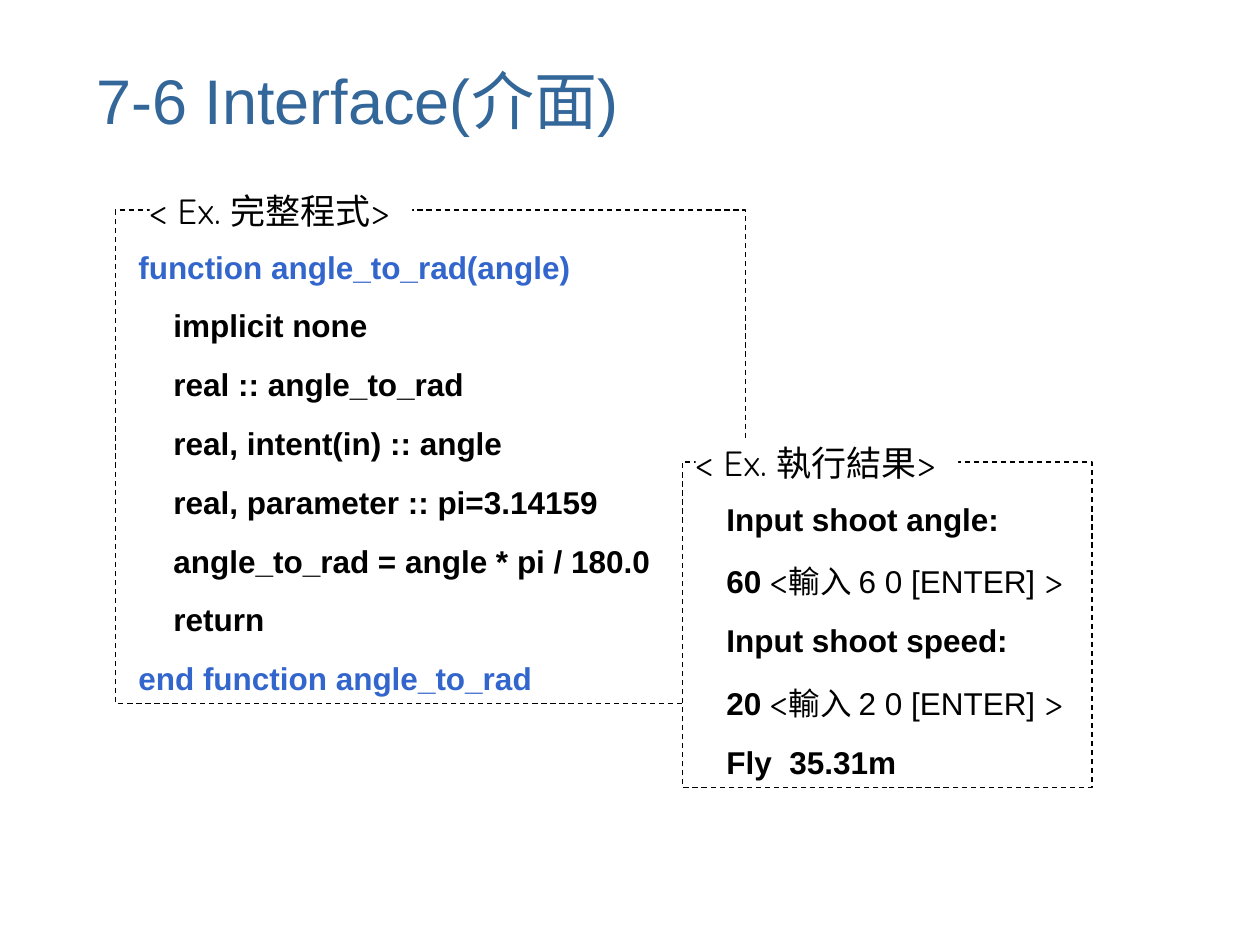
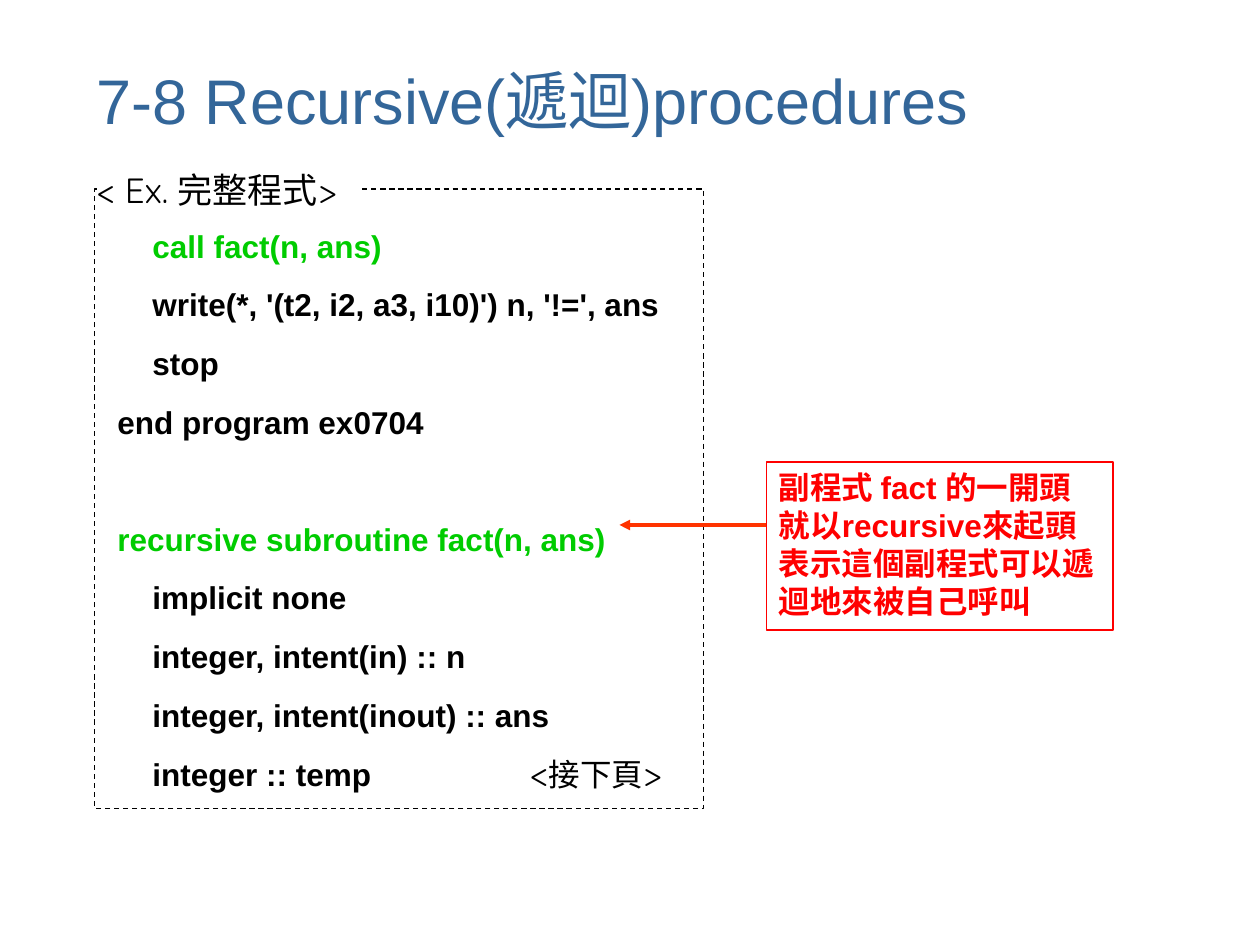
from dataclasses import dataclass

import pptx
import pptx.dml.color
import pptx.enum.dml
import pptx.enum.shapes
import pptx.enum.text
import pptx.oxml
import pptx.oxml.ns
import pptx.util

SLIDE_WIDTH, SLIDE_HEIGHT = pptx.util.Inches(10), pptx.util.Inches(7.5)
COLUMNS, ROWS = 120, 90

WHITE, BLACK, RED = "FFFFFF", "000000", "FF0000"
TITLE_BLUE, CODE_BLUE, CODE_GREEN, ARROW_RED = "336699", "3366CC", "00CC00", "FF3300"
TEXT_FONT, LABEL_FONT = "Arial", "Quicksand"
LINE_GAP = 12
SECTION_GAP = 45
CODE_INDENT = pptx.util.Pt(20)
TEXT_MARGINS = (0.1, 0.05)


@dataclass(frozen=True)
class Span:
    text: str
    size: float = 18
    font: str = TEXT_FONT
    color: str = BLACK
    bold: bool = False


@dataclass(frozen=True)
class Line:
    spans: tuple[Span, ...]
    level: int = 0
    gap: float = LINE_GAP


@dataclass(frozen=True)
class Area:
    """A rectangle measured in grid columns and rows."""
    column: float
    row: float
    columns: float
    rows: float

    def lengths(self) -> tuple[int, int, int, int]:
        return (across(self.column), down(self.row), across(self.columns), down(self.rows))


@dataclass(frozen=True)
class Panel:
    """A dashed frame with a label set into its top edge."""
    area: Area
    label: str
    label_inset: float
    text_inset: float
    lines: tuple[Line, ...]


def across(columns: float) -> int:
    return round(SLIDE_WIDTH * columns / COLUMNS)


def down(rows: float) -> int:
    return round(SLIDE_HEIGHT * rows / ROWS)


def rgb(value: str) -> pptx.dml.color.RGBColor:
    return pptx.dml.color.RGBColor.from_string(value)


def code(text: str, level: int = 0, color: str = BLACK, gap: float = LINE_GAP) -> Line:
    return Line((Span(text, color=color, bold=True),), level, gap)


def bracketed(text: str) -> tuple[Span, ...]:
    return (Span("<", 20, LABEL_FONT), Span(text), Span(">", 20, LABEL_FONT))


def typed_answer(value: str, hint: str) -> Line:
    return Line((Span(f"{value} ", bold=True), *bracketed(hint)))


def write(box, lines: tuple[Line, ...], *, margins: tuple[float, float] = TEXT_MARGINS,
          wrap: bool = True, middle: bool = False) -> None:
    frame = box.text_frame
    frame.word_wrap = wrap
    anchors = pptx.enum.text.MSO_ANCHOR
    frame.vertical_anchor = anchors.MIDDLE if middle else anchors.TOP
    frame.margin_left = frame.margin_right = pptx.util.Inches(margins[0])
    frame.margin_top = frame.margin_bottom = pptx.util.Inches(margins[1])
    for number, line in enumerate(lines):
        para = frame.add_paragraph() if number else frame.paragraphs[0]
        para.alignment = pptx.enum.text.PP_ALIGN.LEFT
        para.space_before = pptx.util.Pt(line.gap if number else 0)
        properties = para._p.get_or_add_pPr()
        properties.set("marL", str(line.level * CODE_INDENT))
        properties.set("indent", "0")
        for span in line.spans:
            run = para.add_run()
            run.text = span.text
            run.font.size = pptx.util.Pt(span.size)
            run.font.name = span.font
            run.font.bold = span.bold
            run.font.color.rgb = rgb(span.color)


def add_text(page, area: Area, *lines: Line, **options) -> None:
    write(page.shapes.add_textbox(*area.lengths()), lines, **options)


def add_box(page, area: Area, outline: str | None = None, dashed: bool = False):
    box = page.shapes.add_shape(pptx.enum.shapes.MSO_SHAPE.RECTANGLE, *area.lengths())
    box.shadow.inherit = False
    box.fill.solid()
    box.fill.fore_color.rgb = rgb(WHITE)
    if outline is None:
        box.line.fill.background()
        return box
    box.line.color.rgb = rgb(outline)
    box.line.width = pptx.util.Pt(0.75)
    if dashed:
        box.line.dash_style = pptx.enum.dml.MSO_LINE.DASH
    return box


def add_panel(page, panel: Panel) -> None:
    area = panel.area
    add_box(page, area, BLACK, dashed=True)
    label = add_box(page, Area(area.column + panel.label_inset, area.row - 2, 25, 4))
    write(label, (Line((Span(panel.label, 20, LABEL_FONT),)),), margins=(0, 0), wrap=False)
    text_area = Area(area.column + panel.text_inset, area.row + 3, area.columns, area.rows - 4)
    add_text(page, text_area, *panel.lines)


def add_arrow(page, row: float, start: float, end: float) -> None:
    arrow = page.shapes.add_connector(pptx.enum.shapes.MSO_CONNECTOR.STRAIGHT,
                                      across(start), down(row), across(end), down(row))
    arrow.line.color.rgb = rgb(ARROW_RED)
    arrow.line.width = pptx.util.Pt(2)
    head = pptx.oxml.ns.qn("a:tailEnd")
    arrow.line._get_or_add_ln().makeelement(head)
    pptx.oxml.xmlchemy.OxmlElement("a:tailEnd")
    tail = pptx.oxml.xmlchemy.OxmlElement("a:tailEnd")
    tail.set("type", "triangle")
    arrow.line._get_or_add_ln().append(tail)
    arrow._element.spPr.append(pptx.oxml.xmlchemy.OxmlElement("a:effectLst"))


def add_page(deck, title: str, *panels: Panel):
    page = deck.slides.add_slide(deck.slide_layouts[6])
    add_text(page, Area(8, 3, 102, 13), Line((Span(title, 36, color=TITLE_BLUE),)), middle=True)
    for panel in panels:
        add_panel(page, panel)
    return page


ANGLE_FUNCTION = Panel(Area(11, 20, 60, 47), "< Ex. 完整程式>", 3.25, 1, (
    code("function angle_to_rad(angle)", color=CODE_BLUE),
    code("implicit none", 1),
    code("real :: angle_to_rad", 1),
    code("real, intent(in) :: angle", 1),
    code("real, parameter :: pi=3.14159", 1),
    code("angle_to_rad = angle * pi / 180.0", 1),
    code("return", 1),
    code("end function angle_to_rad", color=CODE_BLUE),
))

SHOOT_OUTPUT = Panel(Area(65, 44, 39, 31), "< Ex. 執行結果>", 1.25, 3, (
    code("Input shoot angle:"),
    typed_answer("60", "輸入 6 0 [ENTER] "),
    code("Input shoot speed:"),
    typed_answer("20", "輸入 2 0 [ENTER] "),
    code("Fly  35.31m"),
))

FACT_PROGRAM = Panel(Area(9, 18, 58, 59), "< Ex. 完整程式>", 0.25, 1, (
    code("call fact(n, ans)", 1, CODE_GREEN),
    code("write(*, '(t2, i2, a3, i10)') n, '!=', ans", 1),
    code("stop", 1),
    code("end program ex0704"),
    code("recursive subroutine fact(n, ans)", color=CODE_GREEN, gap=SECTION_GAP),
    code("implicit none", 1),
    code("integer, intent(in) :: n", 1),
    code("integer, intent(inout) :: ans", 1),
    code("integer :: temp", 1),
))

RECURSIVE_NOTE = "副程式 fact 的一開頭就以recursive來起頭表示這個副程式可以遞迴地來被自己呼叫"


def main() -> None:
    deck = pptx.Presentation()
    deck.slide_width, deck.slide_height = SLIDE_WIDTH, SLIDE_HEIGHT

    add_page(deck, "7-6 Interface(介面)", ANGLE_FUNCTION, SHOOT_OUTPUT)

    recursion = add_page(deck, "7-8 Recursive(遞迴)procedures", FACT_PROGRAM)
    add_text(recursion, Area(49.33, 71, 16.67, 5), Line(bracketed("接下頁")), wrap=False)
    add_arrow(recursion, row=50, start=73, end=59)
    note = add_box(recursion, Area(73, 44, 33, 16), RED)
    write(note, (code(RECURSIVE_NOTE, color=RED),))

    deck.save("out.pptx")


if __name__ == "__main__":
    main()
